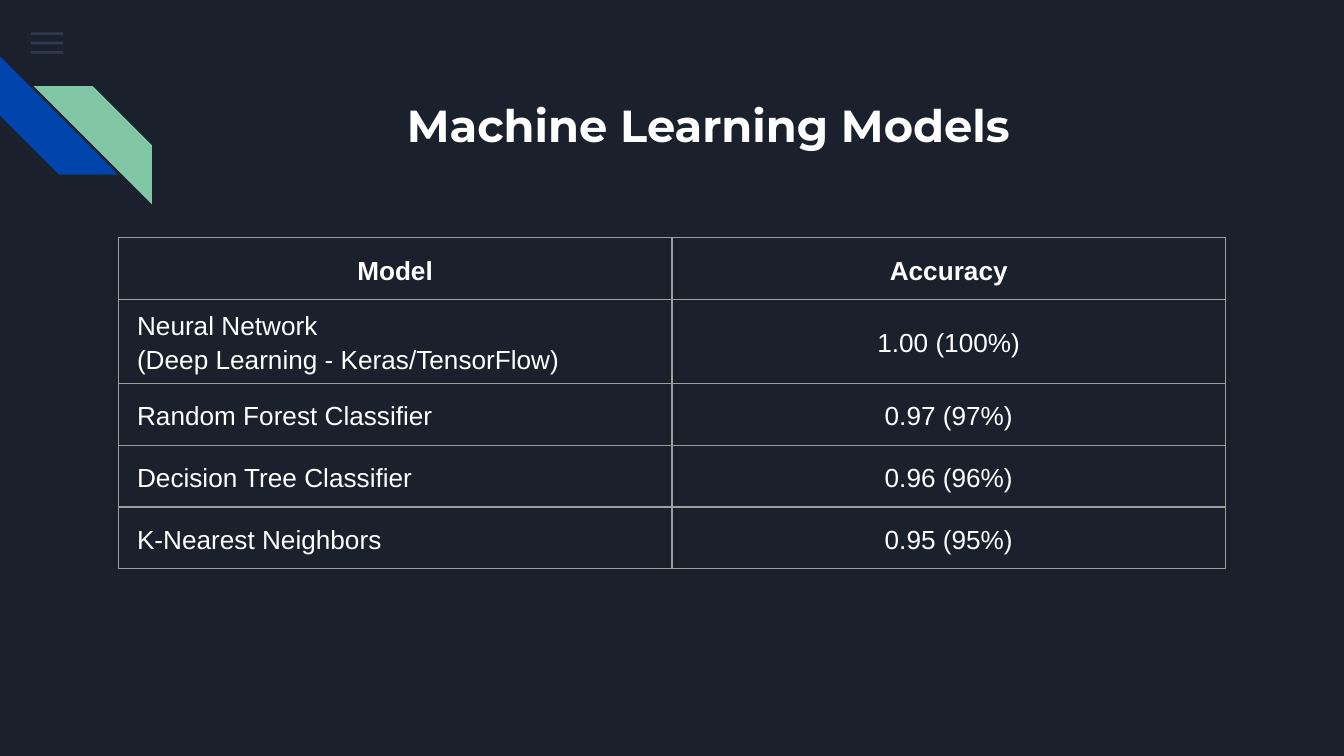
from dataclasses import dataclass

from lxml import etree
from pptx import Presentation
from pptx.dml.color import RGBColor
from pptx.enum.shapes import MSO_SHAPE
from pptx.enum.text import MSO_ANCHOR, MSO_AUTO_SIZE, PP_ALIGN
from pptx.oxml.ns import qn
from pptx.util import Inches, Pt

RECTANGLE, STRIPE = MSO_SHAPE.RECTANGLE, MSO_SHAPE.DIAGONAL_STRIPE
MIDDLE = MSO_ANCHOR.MIDDLE
LEFT, CENTER = PP_ALIGN.LEFT, PP_ALIGN.CENTER
NO_AUTOFIT = MSO_AUTO_SIZE.NONE
TITLE_ONLY = 5


@dataclass(frozen=True)
class Theme:
    background: str = "1B212C"
    text: str = "FFFFFF"
    menu: str = "55688B"
    blue: str = "0145AC"
    green: str = "82C7A5"
    border: str = "9E9E9E"
    title_font: str = "Montserrat"
    body_font: str = "Arial"
    title_size: int = 24
    body_size: int = 14
    border_width: float = 0.75


THEME = Theme()

MODELS = [
    ("Model", "Accuracy"),
    ("Neural Network\n(Deep Learning - Keras/TensorFlow)", "1.00 (100%)"),
    ("Random Forest Classifier", "0.97 (97%)"),
    ("Decision Tree Classifier", "0.96 (96%)"),
    ("K-Nearest Neighbors", "0.95 (95%)"),
]


def set_attributes(target, values):
    for name, value in values.items():
        setattr(target, name, value)


def format_font(font, name, size, bold):
    set_attributes(font, {"name": name, "size": Pt(size), "bold": bold})
    font.color.rgb = RGBColor.from_string(THEME.text)


def add_filled_shape(slide, kind, left, top, width, height, color):
    shape = slide.shapes.add_shape(
        kind, Inches(left), Inches(top), Inches(width), Inches(height))
    shape.shadow.inherit = False
    shape.fill.solid()
    shape.fill.fore_color.rgb = RGBColor.from_string(color)
    shape.line.fill.background()
    return shape


def add_menu_icon(slide):
    for index in range(3):
        bar = add_filled_shape(
            slide, RECTANGLE, 0.23, 0.24 + index * 0.07, 0.24, 0.02, THEME.menu)
        color = bar._element.spPr.find(".//" + qn("a:srgbClr"))
        etree.SubElement(color, qn("a:alpha"), val="36000")


def add_stripes(slide):
    blue = add_filled_shape(slide, STRIPE, 0, 0.42, 0.88, 0.88, THEME.blue)
    blue.rotation = 270
    green = add_filled_shape(slide, STRIPE, 0.25, 0.64, 0.88, 0.88, THEME.green)
    green._element.spPr.find(qn("a:xfrm")).set("flipH", "1")


def format_title(slide, text):
    title = slide.shapes.title
    set_attributes(title, {
        "left": Inches(1.42), "top": Inches(0.43),
        "width": Inches(7.7), "height": Inches(1)})
    frame = title.text_frame
    frame.text = text
    margins = {f"margin_{side}": Inches(0.1)
               for side in ("left", "right", "top", "bottom")}
    set_attributes(frame, {"vertical_anchor": MIDDLE, "word_wrap": True,
                           "auto_size": NO_AUTOFIT, **margins})
    paragraph = frame.paragraphs[0]
    paragraph.alignment = CENTER
    format_font(paragraph.runs[0].font, THEME.title_font, THEME.title_size, True)


def add_cell_borders(cell):
    properties = cell._tc.get_or_add_tcPr()
    for side in ("lnL", "lnR", "lnT", "lnB"):
        line = etree.SubElement(
            properties, qn(f"a:{side}"), w=str(Pt(THEME.border_width)))
        fill = etree.SubElement(line, qn("a:solidFill"))
        etree.SubElement(fill, qn("a:srgbClr"), val=THEME.border)


def fill_cell(cell, text, alignment, bold):
    add_cell_borders(cell)
    cell.fill.background()
    set_attributes(cell, {
        "vertical_anchor": MIDDLE,
        "margin_left": Inches(0.14), "margin_right": Inches(0.14),
        "margin_top": Inches(0.06), "margin_bottom": Inches(0.06)})
    cell.text_frame.text = text
    for paragraph in cell.text_frame.paragraphs:
        set_attributes(paragraph, {"alignment": alignment, "line_spacing": 1.15})
        format_font(paragraph.runs[0].font, THEME.body_font, THEME.body_size, bold)


def add_accuracy_table(slide, rows):
    heights = [0.61 if "\n" in model else 0.46 for model, _ in rows]
    table = slide.shapes.add_table(
        len(rows), 2, Inches(0.88), Inches(1.77),
        Inches(8.24), Inches(sum(heights))).table
    set_attributes(table, {"first_row": True, "horz_banding": False})
    for row_index, (values, height) in enumerate(zip(rows, heights)):
        table.rows[row_index].height = Inches(height)
        header = row_index == 0
        for column, text in enumerate(values):
            alignment = CENTER if header or column == 1 else LEFT
            fill_cell(table.cell(row_index, column), text, alignment, header)


def main():
    # Widescreen slide, 16:9
    presentation = Presentation()
    presentation.slide_width = Inches(10)
    presentation.slide_height = Inches(10 * 9 / 16)
    slide = presentation.slides.add_slide(presentation.slide_layouts[TITLE_ONLY])
    slide.background.fill.solid()
    slide.background.fill.fore_color.rgb = RGBColor.from_string(THEME.background)

    # Corner decoration
    add_menu_icon(slide)
    add_stripes(slide)

    # Title and results
    format_title(slide, "Machine Learning Models")
    add_accuracy_table(slide, MODELS)

    presentation.save("out.pptx")


if __name__ == "__main__":
    main()
